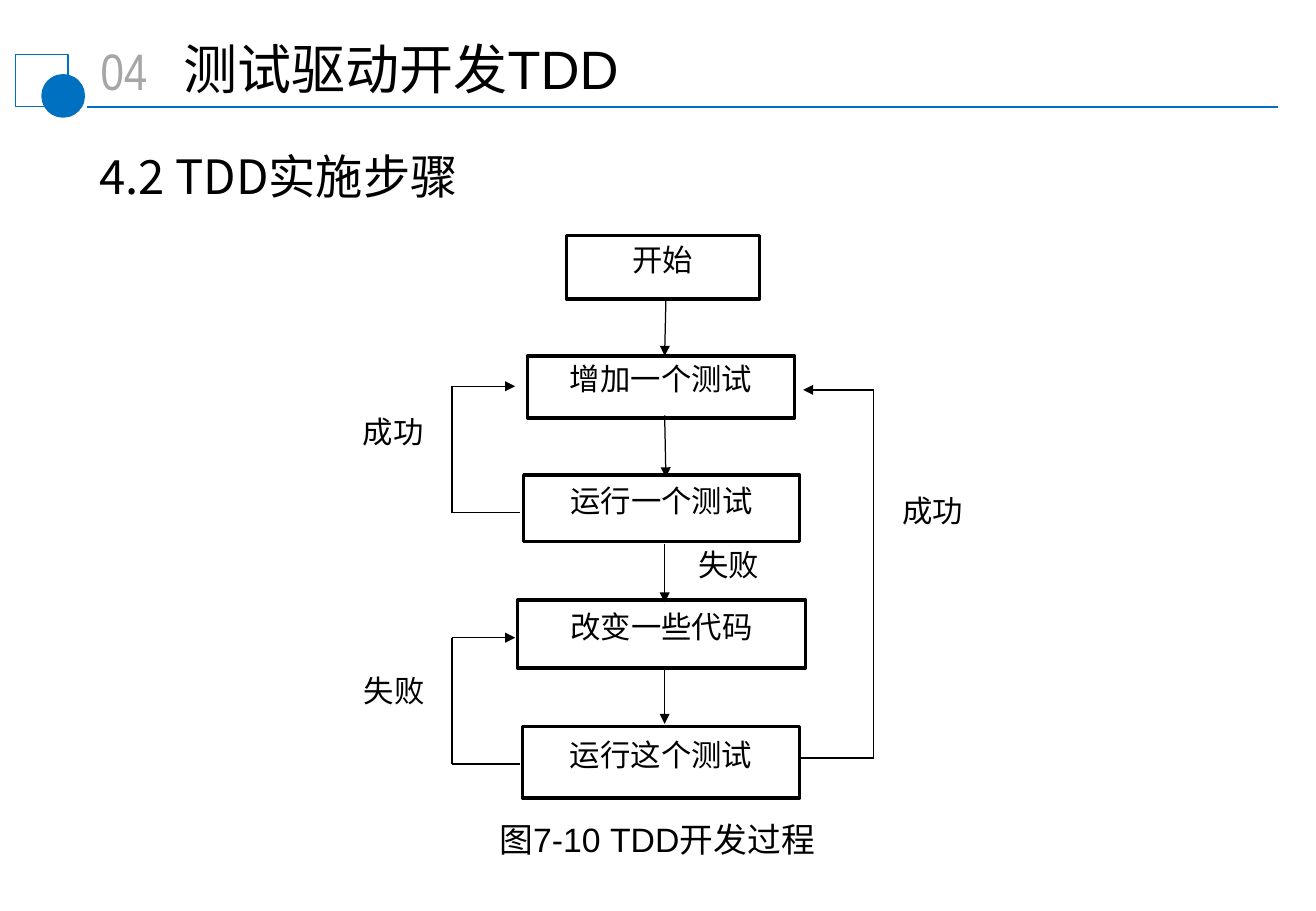
import dataclasses
import itertools
import typing

import pptx
import pptx.dml.color
import pptx.enum.shapes
import pptx.enum.text
import pptx.oxml
import pptx.oxml.ns
import pptx.util

Inches = pptx.util.Inches
ShapeKind = pptx.enum.shapes.MSO_SHAPE
Align = pptx.enum.text.PP_ALIGN
Anchor = pptx.enum.text.MSO_ANCHOR
AutoSize = pptx.enum.text.MSO_AUTO_SIZE


@dataclasses.dataclass(frozen=True)
class Theme:
    accent: str = "0070C0"
    muted: str = "A6A6A6"
    ink: str = "000000"
    paper: str = "FFFFFF"
    latin: str = "Arial"
    narrow: str = "Arial Narrow"
    chinese: str = "Noto Sans CJK SC"
    number_size: float = 30.4
    title_size: float = 32
    heading_size: float = 28
    caption_size: float = 20
    node_size: float = 18
    node_spacing: float = 12
    box_line: float = 2
    thin_line: float = 0.75
    rule_line: float = 1.25


THEME = Theme()


class Bounds(typing.NamedTuple):
    left: float
    top: float
    width: float
    height: float


class Point(typing.NamedTuple):
    x: float
    y: float


@dataclasses.dataclass(frozen=True)
class TextBox:
    text: str
    bounds: Bounds
    size: float
    font: str = THEME.latin
    color: str = THEME.ink
    paragraph_format: dict = dataclasses.field(default_factory=dict)
    indent: float = 0


@dataclasses.dataclass(frozen=True)
class Node:
    text: str
    bounds: Bounds
    outlined: bool = True


@dataclasses.dataclass(frozen=True)
class Loop:
    start_x: float
    rail_x: float
    end_x: float
    start_y: float
    end_y: float

    def points(self) -> list[Point]:
        return [
            Point(self.start_x, self.start_y),
            Point(self.rail_x, self.start_y),
            Point(self.rail_x, self.end_y),
            Point(self.end_x, self.end_y),
        ]


TEXT_BOXES = [
    TextBox("04", Bounds(0.52, 0.27, 1, 0.62), THEME.number_size, THEME.narrow, THEME.muted,
            {"alignment": Align.CENTER}),
    TextBox("测试驱动开发TDD", Bounds(1.41, 0.24, 5.18, 0.65), THEME.title_size),
    TextBox("4.2 TDD实施步骤", Bounds(0.34, 0.93, 4.37, 0.81), THEME.heading_size, THEME.chinese,
            paragraph_format={"line_spacing": 1.5}, indent=0.38),
    TextBox("图7-10 TDD开发过程", Bounds(4.01, 6.69, 2.82, 0.44), THEME.caption_size),
]

NODES = [
    Node("开始", Bounds(4.66, 1.94, 1.59, 0.52)),
    Node("增加一个测试", Bounds(4.34, 2.93, 2.2, 0.51)),
    Node("运行一个测试", Bounds(4.31, 3.91, 2.27, 0.55)),
    Node("改变一些代码", Bounds(4.26, 4.94, 2.37, 0.56)),
    Node("运行这个测试", Bounds(4.3, 5.98, 2.28, 0.59)),
    Node("成功", Bounds(2.82, 3.43, 0.83, 0.38), outlined=False),
    Node("失败", Bounds(2.83, 5.56, 0.83, 0.38), outlined=False),
    Node("失败", Bounds(5.58, 4.52, 0.83, 0.38), outlined=False),
    Node("成功", Bounds(7.26, 4.08, 0.83, 0.38), outlined=False),
]

STEP_ARROWS = [
    (Point(5.48, 2.47), Point(5.47, 2.93)),
    (Point(5.47, 3.42), Point(5.48, 3.93)),
    (Point(5.47, 4.48), Point(5.47, 4.96)),
    (Point(5.47, 5.52), Point(5.47, 5.96)),
]

LOOPS = [
    Loop(4.28, 3.72, 4.24, 4.22, 3.18),
    Loop(4.28, 3.72, 4.24, 6.29, 5.25),
    Loop(6.59, 7.19, 6.61, 6.24, 3.21),
]


def rgb(color: str) -> pptx.dml.color.RGBColor:
    return pptx.dml.color.RGBColor.from_string(color)


def apply_format(target, values: dict) -> None:
    for name, value in values.items():
        setattr(target, name, value)


def write_text(paragraph, text: str, size: float, font: str, color: str) -> None:
    run = paragraph.add_run()
    run.text = text
    apply_format(run.font, {"size": pptx.util.Pt(size), "name": font})
    run.font.color.rgb = rgb(color)
    east_asian = pptx.oxml.parse_xml(
        f'<a:ea {pptx.oxml.ns.nsdecls("a")} typeface="{THEME.chinese}"/>')
    run.font._element.find(pptx.oxml.ns.qn("a:latin")).addnext(east_asian)


def add_text_box(slide, box: TextBox) -> None:
    shape = slide.shapes.add_textbox(*map(Inches, box.bounds))
    apply_format(shape.text_frame, {"word_wrap": True, "auto_size": AutoSize.SHAPE_TO_FIT_TEXT})
    paragraph = shape.text_frame.paragraphs[0]
    apply_format(paragraph, box.paragraph_format)
    if box.indent:
        paragraph._p.get_or_add_pPr().set("marL", str(Inches(box.indent)))
    write_text(paragraph, box.text, box.size, box.font, box.color)


def add_panel(slide, kind, bounds: Bounds, fill: str | None, line: str | None, width: float):
    shape = slide.shapes.add_shape(kind, *map(Inches, bounds))
    shape.shadow.inherit = False
    if fill:
        shape.fill.solid()
        shape.fill.fore_color.rgb = rgb(fill)
    else:
        shape.fill.background()
    if line:
        shape.line.color.rgb = rgb(line)
        shape.line.width = pptx.util.Pt(width)
    else:
        shape.line.fill.background()
    return shape


def add_node(slide, node: Node) -> None:
    line = THEME.ink if node.outlined else None
    shape = add_panel(slide, ShapeKind.FLOWCHART_PROCESS, node.bounds, THEME.paper, line, THEME.box_line)
    margins = {f"margin_{side}": 0 for side in ("left", "top", "right", "bottom")}
    apply_format(shape.text_frame, {**margins, "vertical_anchor": Anchor.MIDDLE})
    paragraph = shape.text_frame.paragraphs[0]
    apply_format(paragraph, {"alignment": Align.CENTER,
                             "line_spacing": pptx.util.Pt(THEME.node_spacing)})
    write_text(paragraph, node.text, THEME.node_size, THEME.latin, THEME.ink)


def add_line(slide, start: Point, end: Point, color: str = THEME.ink,
             width: float = THEME.thin_line, arrow: bool = False) -> None:
    connector = slide.shapes.add_connector(
        pptx.enum.shapes.MSO_CONNECTOR.STRAIGHT, *map(Inches, (*start, *end)))
    connector.line.color.rgb = rgb(color)
    connector.line.width = pptx.util.Pt(width)
    namespace = pptx.oxml.ns.nsdecls("a")
    if arrow:
        connector.line._get_or_add_ln().append(
            pptx.oxml.parse_xml(f'<a:tailEnd {namespace} type="triangle"/>'))
    connector._element.spPr.append(pptx.oxml.parse_xml(f"<a:effectLst {namespace}/>"))


def add_loop(slide, loop: Loop) -> None:
    segments = list(itertools.pairwise(loop.points()))
    for segment in segments:
        add_line(slide, *segment, arrow=segment is segments[-1])


def main() -> None:
    presentation = pptx.Presentation()
    apply_format(presentation, {"slide_width": Inches(10.83), "slide_height": Inches(7.5)})
    slide = presentation.slides.add_slide(presentation.slide_layouts[6])
    add_line(slide, Point(0.72, 0.88), Point(10.52, 0.88), THEME.accent, THEME.rule_line)
    add_panel(slide, ShapeKind.RECTANGLE, Bounds(0.13, 0.45, 0.43, 0.43), None, THEME.accent, THEME.thin_line)
    add_panel(slide, ShapeKind.OVAL, Bounds(0.34, 0.61, 0.36, 0.36), THEME.accent, None, 0)
    for box in TEXT_BOXES:
        add_text_box(slide, box)
    for node in NODES:
        add_node(slide, node)
    for start, end in STEP_ARROWS:
        add_line(slide, start, end, arrow=True)
    for loop in LOOPS:
        add_loop(slide, loop)
    presentation.save("out.pptx")


if __name__ == "__main__":
    main()
